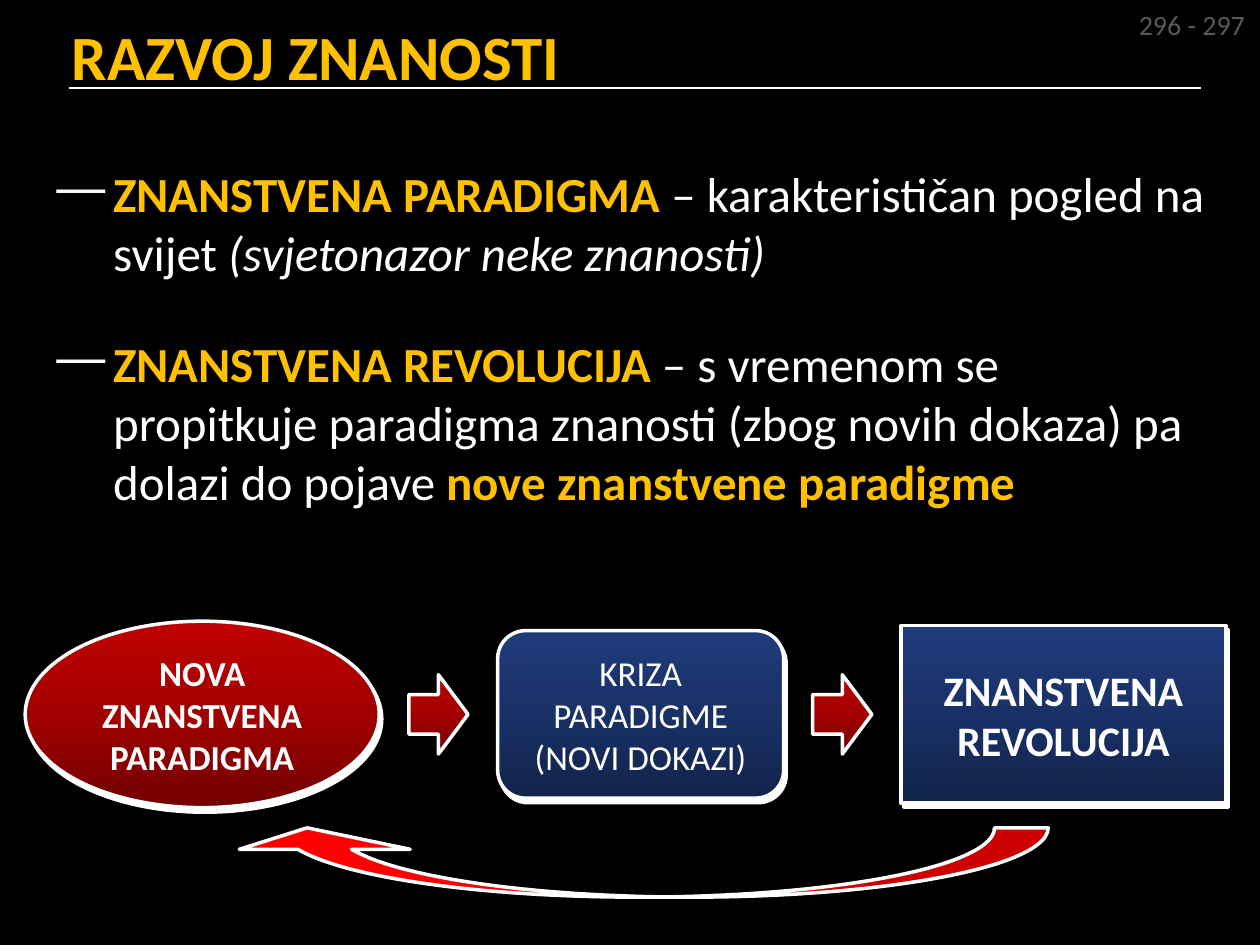
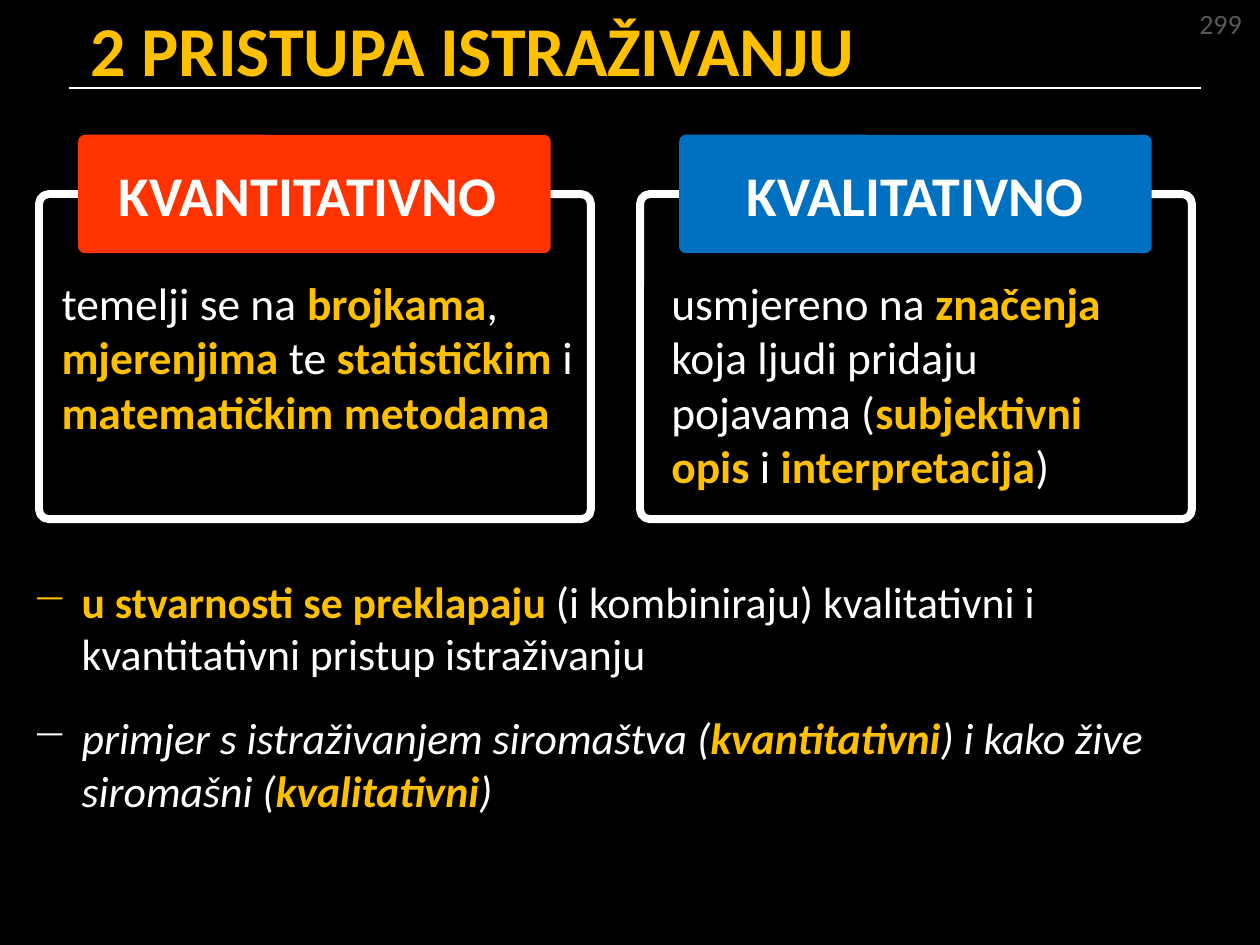
import copy
import pptx
import pptx.dml.color
import pptx.enum.shapes
import pptx.enum.text
import pptx.oxml.ns
import pptx.util
from lxml import etree

RGBColor = pptx.dml.color.RGBColor
SHAPE = pptx.enum.shapes.MSO_SHAPE
ANCHOR = pptx.enum.text.MSO_ANCHOR
ALIGN = pptx.enum.text.PP_ALIGN
Inches = pptx.util.Inches
Pt = pptx.util.Pt
qn = pptx.oxml.ns.qn

BLACK = RGBColor(0x00, 0x00, 0x00)
WHITE = RGBColor(0xFF, 0xFF, 0xFF)
GOLD = RGBColor(0xFF, 0xC0, 0x00)
GREY = RGBColor(0x59, 0x59, 0x59)
RED = RGBColor(0xFF, 0x00, 0x00)
ORANGE = RGBColor(0xFF, 0x33, 0x00)
BLUE = RGBColor(0x00, 0x70, 0xC0)
DASH_WHITE = RGBColor(0xF9, 0xF9, 0xF9)
NAVY_BLEND = [RGBColor(0x12, 0x23, 0x49), RGBColor(0x1A, 0x31, 0x68), RGBColor(0x1F, 0x3B, 0x7B)]
RED_BLEND = [RGBColor(0x72, 0x00, 0x00), RGBColor(0xA2, 0x00, 0x00), RGBColor(0xC0, 0x00, 0x00)]

FONT = "Calibri"
WIDTH, HEIGHT = 10, 7.5

# A span is (text, marks): g = gold and bold, b = bold, i = italic.
SCIENCE = {
    "title": "RAZVOJ ZNANOSTI", "title_box": (0.47, 0.09, 8.92, 0.61), "title_size": 36,
    "pages": "296 - 297", "pages_box": (8.94, 0.01, 1.06, 0.37),
    "body_box": (0.2, 1.25, 9.53, 3.09), "body_size": 28,
    "bullet": ("—", 0.6, 0.45, DASH_WHITE), "gap": 30,
    "body": [
        [("ZNANSTVENA PARADIGMA ", "g"), ("– karakterističan pogled na svijet ", ""),
         ("(svjetonazor neke znanosti)", "i")],
        [("ZNANSTVENA REVOLUCIJA ", "g"),
         ("– s vremenom se propitkuje paradigma znanosti (zbog novih dokaza) pa dolazi do pojave ", ""),
         ("nove znanstvene paradigme", "g")],
    ],
}
CYCLE_MIDDLE = 5.67
CYCLE = [
    (SHAPE.OVAL, 0.2, 2.81, 1.48, RED_BLEND, 20, [[("NOVA ZNANSTVENA PARADIGMA", "b")]]),
    (SHAPE.ROUNDED_RECTANGLE, 3.95, 2.27, 1.33, NAVY_BLEND, 20,
     [[("KRIZA PARADIGME", "")], [("(NOVI DOKAZI)", "")]]),
    (SHAPE.RECTANGLE, 7.15, 2.58, 1.41, NAVY_BLEND, 24, [[("ZNANSTVENA REVOLUCIJA", "b")]]),
]
ARROW_WIDTH, ARROW_HEIGHT = 0.47, 0.63
RETURN_ARROW = (1.76, 6.57, 6.56, 0.55)
RETURN_BENDS = (0.774, 2.467, 0.31)

APPROACHES = {
    "title": "2 PRISTUPA ISTRAŽIVANJU", "title_box": (0.62, 0, 8.92, 0.68), "title_size": 40,
    "pages": "299", "pages_box": (9.42, 0, 0.54, 0.37),
    "body_box": (0, 4.51, 10, 1.88), "body_size": 25,
    "bullet": ("─", 0.55, 0.39, None), "gap": 18,
    "body": [
        [("u stvarnosti se preklapaju ", "g"),
         ("(i kombiniraju) kvalitativni i kvantitativni pristup istraživanju", "")],
        [("primjer s istraživanjem siromaštva (", "i"), ("kvantitativni", "gi"),
         (") i kako žive siromašni (", "i"), ("kvalitativni", "gi"), (")", "i")],
    ],
}
COLUMN_LEFT, COLUMN_STEP = 0.31, 4.77
COLUMNS = [
    ("KVANTITATIVNO ", ORANGE, 0.08, 4.3, 1.41,
     [("temelji se na ", ""), ("brojkama", "g"), (", ", ""), ("mjerenjima", "g"), (" te ", ""),
      ("statističkim", "g"), (" i ", ""), ("matematičkim metodama", "g")]),
    ("KVALITATIVNO", BLUE, 0.15, 4.06, 1.85,
     [("usmjereno na ", ""), ("značenja", "g"), (" koja ljudi pridaju pojavama (", ""),
      ("subjektivni opis ", "g"), ("i ", ""), ("interpretacija", "g"), (")", "")]),
]


def inches(box):
    return [Inches(length) for length in box]


def write(frame, paragraphs, size, color=WHITE, align=ALIGN.LEFT, bullet=None, gap=0):
    for index, spans in enumerate(paragraphs):
        para = frame.paragraphs[0] if index == 0 else frame.add_paragraph()
        para.alignment = align
        para.space_before = Pt(gap if index else 0)
        if bullet:
            add_bullet(para, *bullet)
        for text, marks in spans:
            span = para.add_run()
            span.text = text
            span.font.name = FONT
            span.font.size = Pt(size)
            span.font.bold = "g" in marks or "b" in marks
            span.font.italic = "i" in marks
            span.font.color.rgb = GOLD if "g" in marks else color


def add_bullet(para, sign, margin, hang, color):
    properties = para._p.get_or_add_pPr()
    properties.set("marL", str(Inches(margin)))
    properties.set("indent", str(-Inches(hang)))
    if color is not None:
        holder = etree.SubElement(properties, qn("a:buClr"))
        etree.SubElement(holder, qn("a:srgbClr"), val=str(color))
    etree.SubElement(properties, qn("a:buChar"), char=sign)


def add_text(page, box, paragraphs, size, wrap=True, **style):
    frame = page.shapes.add_textbox(*inches(box)).text_frame
    frame.word_wrap = wrap
    write(frame, paragraphs, size, **style)


def add_figure(page, kind, box, fill=None, line=0, bends=()):
    figure = page.shapes.add_shape(kind, *inches(box))
    figure.shadow.inherit = False
    for index, bend in enumerate(bends):
        figure.adjustments[index] = bend
    if fill is None:
        figure.fill.background()
    elif isinstance(fill, list):
        blend(figure, fill)
    else:
        figure.fill.solid()
        figure.fill.fore_color.rgb = fill
    if line:
        figure.line.color.rgb = WHITE
        figure.line.width = Pt(line)
    else:
        figure.line.fill.background()
    return figure


def blend(figure, colors):
    figure.fill.gradient()
    figure.fill.gradient_angle = 90
    stops = figure._element.spPr.find(".//" + qn("a:gsLst"))
    stops.append(copy.deepcopy(stops[0]))
    for index, (stop, color) in enumerate(zip(figure.fill.gradient_stops, colors)):
        stop.position = index / (len(colors) - 1)
        stop.color.rgb = color


def add_white_shadow(figure):
    effects = figure._element.spPr.find(qn("a:effectLst"))
    shadow = etree.SubElement(effects, qn("a:outerShdw"), blurRad="0", dist=str(Pt(3)),
                              dir=str(61 * 60000), algn="ctr", rotWithShape="0")
    etree.SubElement(shadow, qn("a:srgbClr"), val=str(WHITE))


def label(figure, paragraphs, size):
    frame = figure.text_frame
    frame.word_wrap = True
    frame.vertical_anchor = ANCHOR.MIDDLE
    write(frame, paragraphs, size, align=ALIGN.CENTER)


def add_page(deck, content):
    page = deck.slides.add_slide(deck.slide_layouts[6])
    page.background.fill.solid()
    page.background.fill.fore_color.rgb = BLACK
    rule = page.shapes.add_connector(pptx.enum.shapes.MSO_CONNECTOR.STRAIGHT,
                                     *inches((0.55, 0.7, 9.53, 0.7)))
    rule.line.color.rgb = WHITE
    rule.line.width = Pt(1)
    etree.SubElement(rule._element.spPr, qn("a:effectLst"))
    add_text(page, content["pages_box"], [[(content["pages"], "")]], 16, wrap=False, color=GREY)
    add_text(page, content["title_box"], [[(content["title"], "g")]], content["title_size"])
    add_text(page, content["body_box"], content["body"], content["body_size"],
             bullet=content["bullet"], gap=content["gap"])
    return page


def add_cycle(page):
    for kind, left, width, height, fill, size, paragraphs in CYCLE:
        box = (left, CYCLE_MIDDLE - height / 2, width, height)
        figure = add_figure(page, kind, box, fill, 2)
        add_white_shadow(figure)
        label(figure, paragraphs, size)
    for before, after in zip(CYCLE, CYCLE[1:]):
        center = (before[1] + before[2] + after[1]) / 2
        box = (center - ARROW_WIDTH / 2, CYCLE_MIDDLE - ARROW_HEIGHT / 2, ARROW_WIDTH, ARROW_HEIGHT)
        add_figure(page, SHAPE.RIGHT_ARROW, box, RED_BLEND, 2)
    back = add_figure(page, SHAPE.CURVED_UP_ARROW, RETURN_ARROW, RED, 2, RETURN_BENDS)
    back._element.spPr.find(qn("a:xfrm")).set("flipH", "1")


def add_columns(page):
    for index, (heading, color, inset, width, height, spans) in enumerate(COLUMNS):
        left = COLUMN_LEFT + index * COLUMN_STEP
        add_figure(page, SHAPE.ROUNDED_RECTANGLE, (left, 1.54, 4.38, 2.58), line=4.5, bends=(0.03,))
        tab = add_figure(page, SHAPE.ROUNDED_RECTANGLE, (left + 0.31, 1.07, 3.75, 0.94), color,
                         bends=(0.056,))
        label(tab, [[(heading, "b")]], 32)
        add_text(page, (left + inset, 2.13, width, height), [spans], 26)


def main():
    deck = pptx.Presentation()
    deck.slide_width, deck.slide_height = inches((WIDTH, HEIGHT))
    add_cycle(add_page(deck, SCIENCE))
    add_columns(add_page(deck, APPROACHES))
    deck.save("out.pptx")


if __name__ == "__main__":
    main()
